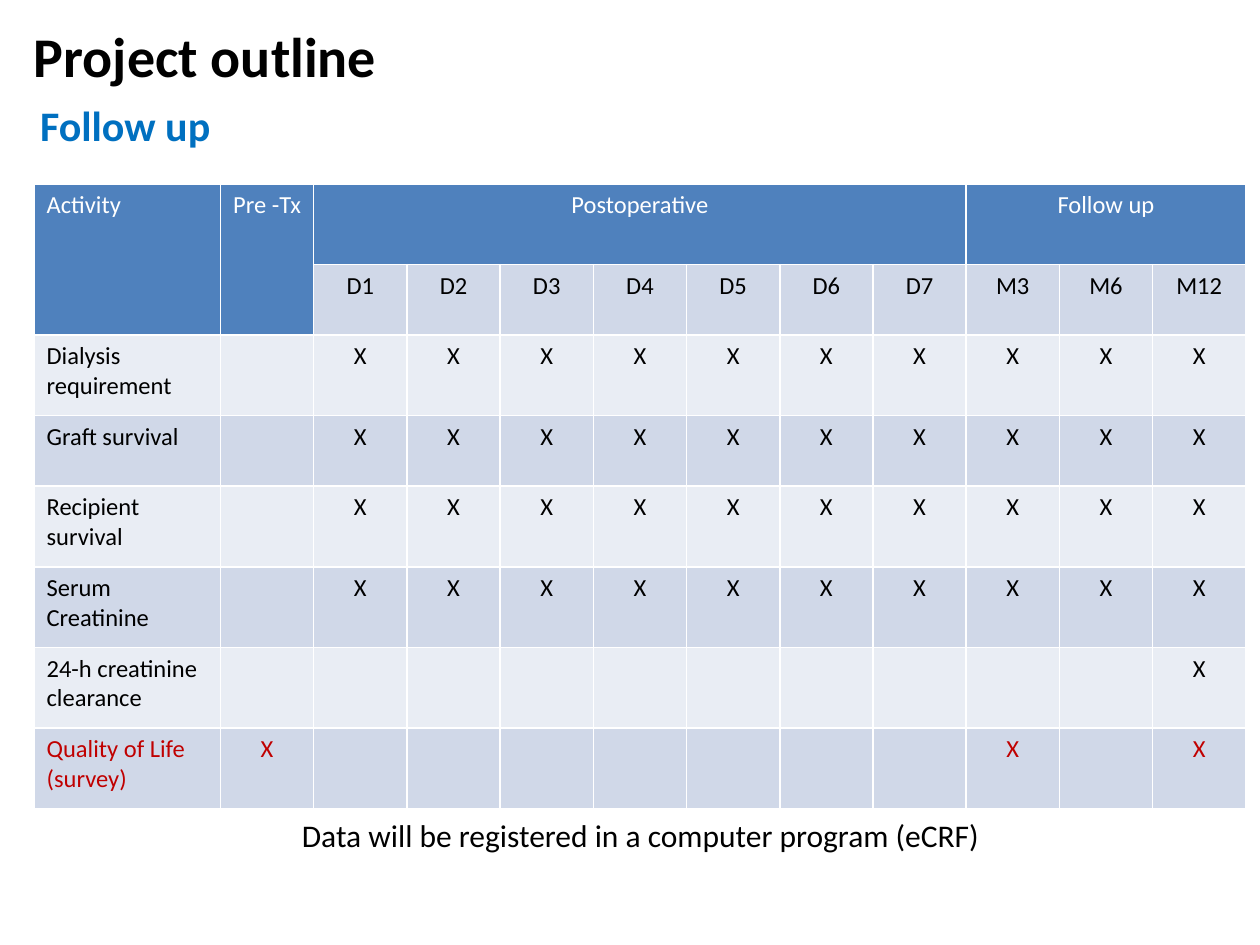
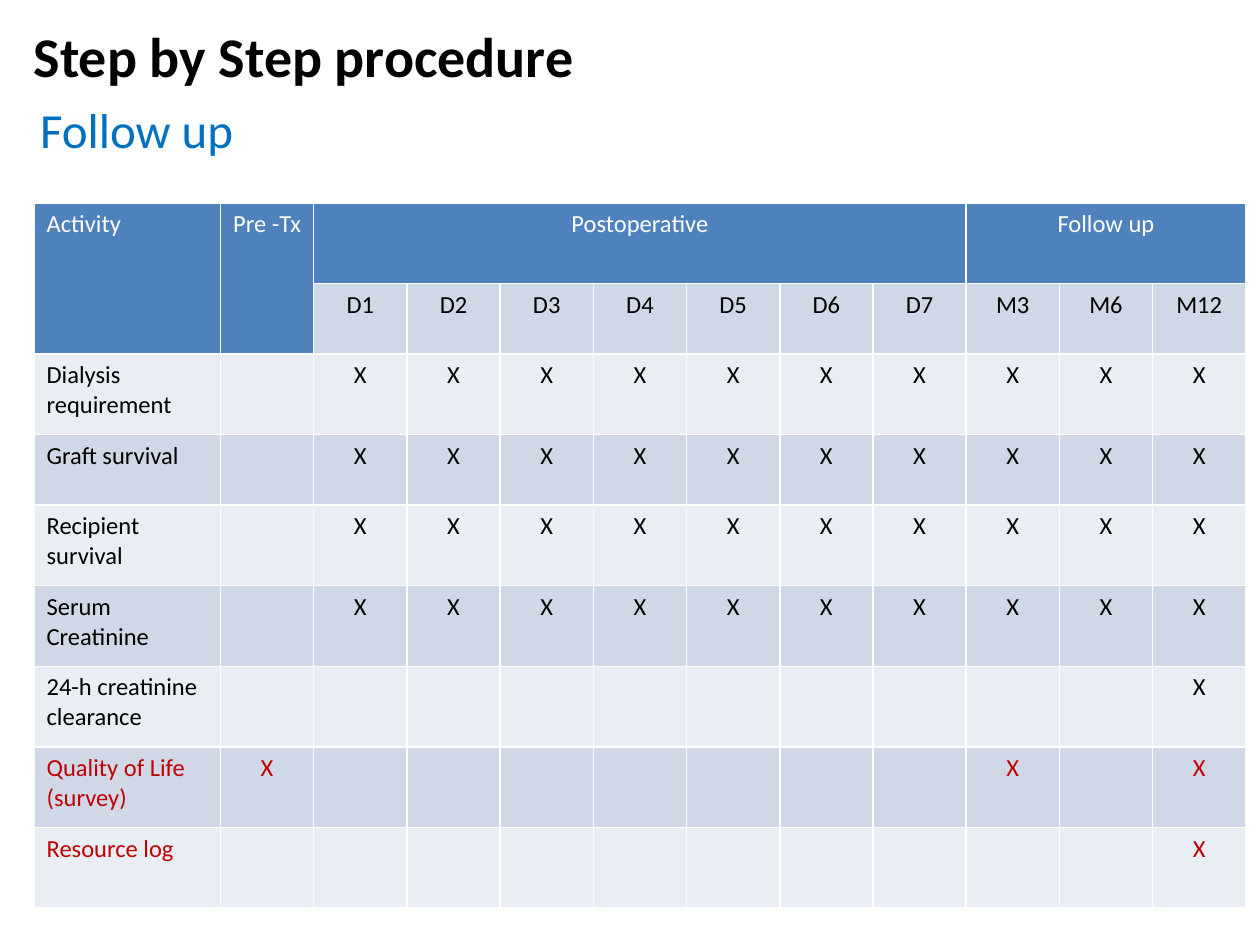
from lxml.etree import SubElement
from pptx import Presentation
from pptx.dml.color import RGBColor
from pptx.enum.text import MSO_ANCHOR, MSO_AUTO_SIZE, PP_ALIGN
from pptx.oxml.ns import qn
from pptx.util import Inches, Pt

COLORS = {
    "black": "000000",
    "white": "FFFFFF",
    "subtitle": "0070C0",
    "header": "4F81BD",
    "dark_band": "D0D8E8",
    "light_band": "E9EDF4",
    "highlight": "C00000",
}
DAYS = [f"D{day}" for day in range(1, 8)]
MONTHS = ["M3", "M6", "M12"]
VISITS = ["Pre -Tx"] + DAYS + MONTHS
EVERY_VISIT = DAYS + MONTHS
ACTIVITIES = [
    ("Dialysis requirement", EVERY_VISIT, "black"),
    ("Graft survival", EVERY_VISIT, "black"),
    ("Recipient survival", EVERY_VISIT, "black"),
    ("Serum Creatinine", EVERY_VISIT, "black"),
    ("24-h creatinine clearance", ["M12"], "black"),
    ("Quality of Life (survey)", ["Pre -Tx", "M3", "M12"], "highlight"),
]
RESOURCE_LOG = ("Resource log", ["M12"], "highlight")
TALL_ROW, SHORT_ROW = 0.64, 0.56
SHORT_ROWS = (1, 3)
ACTIVITY_WIDTH, VISIT_WIDTH = 1.48, 0.74
TABLE_LEFT = 0.27


def rgb(color):
    """Return the palette colour with this key."""
    return RGBColor.from_string(COLORS[color])


def write(frame, text, size, color="black", bold=False, align=PP_ALIGN.LEFT):
    """Write one formatted paragraph into a text frame."""
    paragraph = frame.paragraphs[0]
    paragraph.alignment = align
    run = paragraph.add_run()
    run.text = text
    formats = {"name": "Calibri", "size": Pt(size), "bold": bold}
    for attribute, value in formats.items():
        setattr(run.font, attribute, value)
    run.font.color.rgb = rgb(color)


def add_text(slide, box, text, size, anchor=MSO_ANCHOR.TOP,
             auto_size=MSO_AUTO_SIZE.SHAPE_TO_FIT_TEXT, **style):
    """Add a wrapped text box at left, top, width, height in inches."""
    frame = slide.shapes.add_textbox(*map(Inches, box)).text_frame
    formats = {"word_wrap": True, "auto_size": auto_size, "vertical_anchor": anchor}
    for attribute, value in formats.items():
        setattr(frame, attribute, value)
    write(frame, text, size, **style)


def add_headings(slide, title, subtitle, size, height, bold):
    """Add the slide title and the blue subtitle below it."""
    add_text(slide, (0.17, 0.13, 9, 0.61), title, 32, bold=True,
             anchor=MSO_ANCHOR.MIDDLE, auto_size=MSO_AUTO_SIZE.NONE)
    add_text(slide, (0.22, 0.74, 3.54, height), subtitle, size,
             color="subtitle", bold=bold)


def style_cell(cell, fill):
    """Give a cell thin white borders and a solid fill."""
    properties = cell._tc.get_or_add_tcPr()
    for side in ("lnL", "lnR", "lnT", "lnB"):
        border = SubElement(properties, qn(f"a:{side}"), w=str(Pt(1)))
        solid = SubElement(border, qn("a:solidFill"))
        SubElement(solid, qn("a:srgbClr"), val=COLORS["white"])
    cell.fill.solid()
    cell.fill.fore_color.rgb = rgb(fill)


def write_cell(cell, text, color="black", align=PP_ALIGN.CENTER):
    """Write a table entry."""
    write(cell.text_frame, text, 14, color, align=align)


def add_header(table):
    """Merge and label the two header rows."""
    month_start = 2 + len(DAYS)
    groups = [
        ("Activity", 0, 1, 0, PP_ALIGN.LEFT),
        ("Pre -Tx", 1, 1, 1, PP_ALIGN.CENTER),
        ("Postoperative", 2, 0, month_start - 1, PP_ALIGN.CENTER),
        ("Follow up", month_start, 0, len(VISITS), PP_ALIGN.CENTER),
    ]
    for label, first_column, last_row, last_column, align in groups:
        cell = table.cell(0, first_column)
        cell.merge(table.cell(last_row, last_column))
        write_cell(cell, label, "white", align)
    for column, visit in enumerate(EVERY_VISIT, 2):
        write_cell(table.cell(1, column), visit)


def add_schedule(slide, top, activities):
    """Add the table of activities against visits."""
    heights = [SHORT_ROW if row in SHORT_ROWS else TALL_ROW
               for row in range(len(activities) + 2)]
    widths = [ACTIVITY_WIDTH] + [VISIT_WIDTH] * len(VISITS)
    box = (TABLE_LEFT, top, sum(widths), sum(heights))
    table = slide.shapes.add_table(len(heights), len(widths), *map(Inches, box)).table
    table.first_row = table.horz_banding = False
    for column, width in zip(table.columns, widths):
        column.width = Inches(width)
    for index, height in enumerate(heights):
        table.rows[index].height = Inches(height)
        band = "dark_band" if index % 2 else "light_band"
        for column, cell in enumerate(table.rows[index].cells):
            in_header = index == 0 or (index == 1 and column < 2)
            style_cell(cell, "header" if in_header else band)
    add_header(table)
    for row, (activity, marked_visits, color) in enumerate(activities, 2):
        write_cell(table.cell(row, 0), activity, color, PP_ALIGN.LEFT)
        for visit in marked_visits:
            write_cell(table.cell(row, 1 + VISITS.index(visit)), "X", color)


def main():
    """Build the two follow-up slides."""
    deck = Presentation()
    deck.slide_width, deck.slide_height = Inches(10), Inches(7.5)
    blank = deck.slide_layouts[6]

    outline = deck.slides.add_slide(blank)
    add_headings(outline, "Project outline", "Follow up", 24, 0.5, True)
    add_schedule(outline, 1.46, ACTIVITIES)
    add_text(outline, (0.28, 6.43, 9.61, 0.4),
             "Data will be registered in a computer program (eCRF)", 18,
             align=PP_ALIGN.CENTER)

    procedure = deck.slides.add_slide(blank)
    add_headings(procedure, "Step by Step procedure", "Follow up", 28, 0.57, False)
    add_schedule(procedure, 1.61, ACTIVITIES + [RESOURCE_LOG])

    deck.save("out.pptx")


if __name__ == "__main__":
    main()
